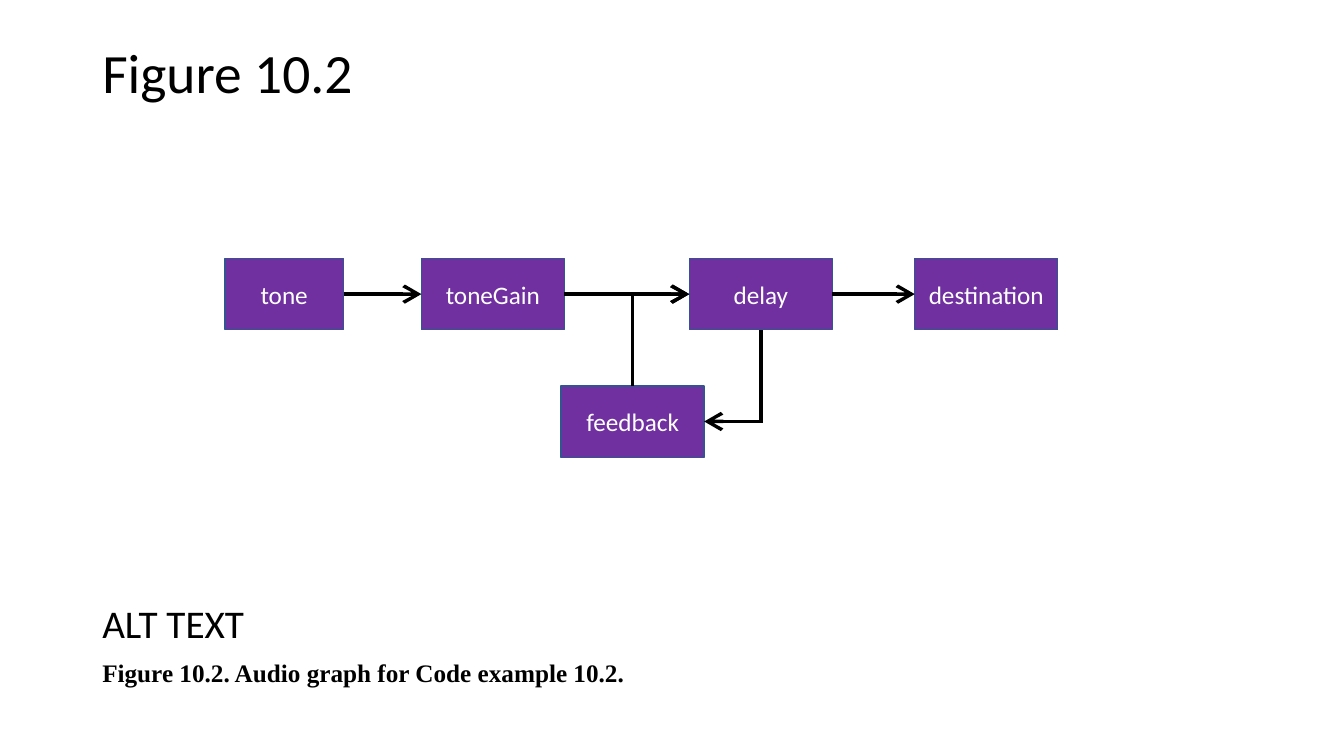
"""Build the Figure 10.2 slide: an audio graph with a delay feedback loop."""
from typing import NamedTuple

from lxml.etree import SubElement
from pptx import Presentation
from pptx.dml.color import RGBColor
from pptx.enum.shapes import MSO_CONNECTOR as CONN, MSO_SHAPE as SHAPE
from pptx.enum.text import MSO_ANCHOR as ANCHOR, PP_ALIGN as ALIGN
from pptx.oxml.ns import qn
from pptx.shapes.autoshape import Shape
from pptx.slide import Slide
from pptx.util import Pt

TOP, LEFT, BOTTOM, RIGHT = range(4)
ROW_Y, LOOP_Y, NODE_H = 184.6, 275.6, 51


class Node(NamedTuple):
    name: str
    x: float
    y: float = ROW_Y
    w: float = 102.2


class Link(NamedTuple):
    begin: str
    begin_site: int
    end: str
    end_site: int
    arrow: str = "tailEnd"
    bent: bool = False


class Line(NamedTuple):
    text: str
    size: float
    font: str = "Calibri"
    bold: bool = False
    before: float = 0


NODES = [
    Node("tone", 160.6, w=84.8),
    Node("toneGain", 301),
    Node("delay", 492.4),
    Node("feedback", 400.8, LOOP_Y),
    Node("destination", 653.4),
]
LINKS = [
    Link("tone", RIGHT, "toneGain", LEFT),
    Link("toneGain", RIGHT, "delay", LEFT),
    Link("delay", RIGHT, "destination", LEFT),
    Link("delay", LEFT, "feedback", TOP, "headEnd", True),
    Link("feedback", RIGHT, "delay", BOTTOM, "headEnd", True),
]
TITLE = [Line("Figure 10.2", 39.6)]
CAPTION = [
    Line("ALT TEXT", 28, before=10),
    Line("Figure 10.2. Audio graph for Code example 10.2.", 18,
         "Times New Roman", True, 10),
]


def rgb(value: str) -> RGBColor:
    return RGBColor.from_string(value)


def add_text(s: Slide, x: float, y: float, w: float, h: float,
             lines: list[Line], anchor: ANCHOR = ANCHOR.TOP) -> None:
    tf = s.shapes.add_textbox(Pt(x), Pt(y), Pt(w), Pt(h)).text_frame
    tf.word_wrap = True
    tf.vertical_anchor = anchor
    for i, line in enumerate(lines):
        p = tf.add_paragraph() if i else tf.paragraphs[0]
        p.text = line.text
        p.line_spacing = 0.9
        p.space_before = Pt(line.before)
        p.font.name, p.font.size, p.font.bold = line.font, Pt(line.size), line.bold
        p.font.color.rgb = rgb("000000")


def add_node(s: Slide, node: Node) -> Shape:
    sp = s.shapes.add_shape(SHAPE.RECTANGLE, Pt(node.x), Pt(node.y),
                            Pt(node.w), Pt(NODE_H))
    sp.shadow.inherit = False
    sp.fill.solid()
    sp.fill.fore_color.rgb = rgb("7030A0")
    sp.line.color.rgb = rgb("325491")
    sp.line.width = Pt(1)
    tf = sp.text_frame
    tf.vertical_anchor = ANCHOR.MIDDLE
    p = tf.paragraphs[0]
    p.text = node.name
    p.alignment = ALIGN.CENTER
    p.font.name, p.font.size = "Calibri", Pt(18)
    p.font.color.rgb = rgb("FFFFFF")
    return sp


def add_link(s: Slide, link: Link, boxes: dict[str, Shape]) -> None:
    kind = CONN.ELBOW if link.bent else CONN.STRAIGHT
    cxn = s.shapes.add_connector(kind, Pt(0), Pt(0), Pt(0), Pt(0))
    cxn.begin_connect(boxes[link.begin], link.begin_site)
    cxn.end_connect(boxes[link.end], link.end_site)
    cxn.line.color.rgb = rgb("000000")
    cxn.line.width = Pt(2.5)
    sp_pr = cxn._element.spPr
    if link.bent:
        sp_pr.find(qn("a:prstGeom")).set("prst", "bentConnector2")
    ln = sp_pr.find(qn("a:ln"))
    SubElement(ln, qn("a:miter"), lim="800000")
    SubElement(ln, qn(f"a:{link.arrow}"), type="arrow", w="lg", len="lg")
    SubElement(sp_pr, qn("a:effectLst"))


def main() -> None:
    prs = Presentation()
    prs.slide_width, prs.slide_height = Pt(960), Pt(540)
    s = prs.slides.add_slide(prs.slide_layouts[6])
    add_text(s, 66, 28.8, 825, 50.4, TITLE, ANCHOR.MIDDLE)
    add_text(s, 66, 428.2, 860, 83.5, CAPTION)
    boxes = {node.name: add_node(s, node) for node in NODES}
    for link in LINKS:
        add_link(s, link, boxes)
    prs.save("out.pptx")


if __name__ == "__main__":
    main()
